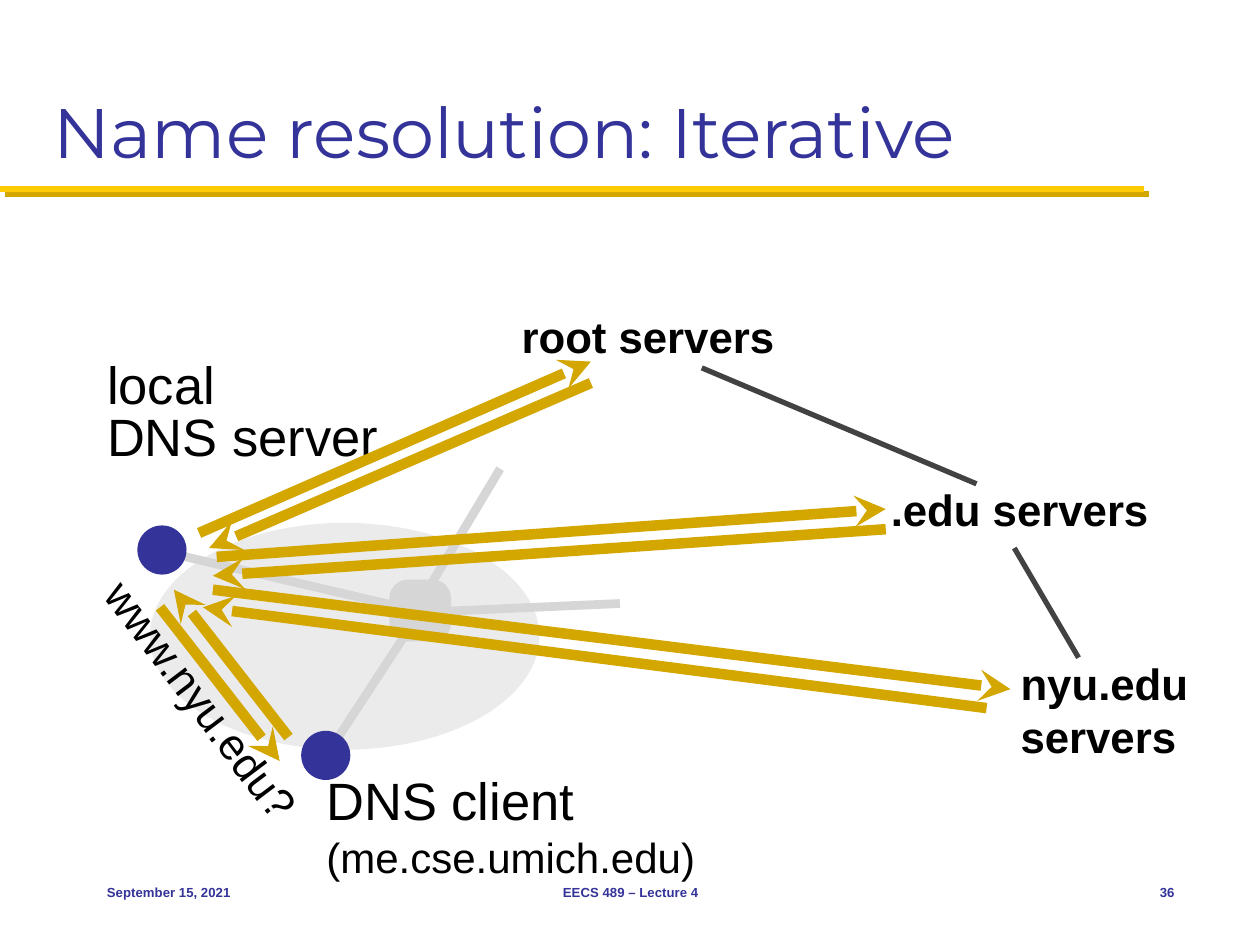
import pptx
import pptx.util
from lxml import etree
from pptx.dml.color import RGBColor
from pptx.enum.shapes import MSO_CONNECTOR, MSO_SHAPE
from pptx.enum.text import MSO_ANCHOR, PP_ALIGN
from pptx.oxml.ns import qn
from pptx.util import Inches

BLUE = RGBColor(0x33, 0x33, 0x99)
MAIZE = RGBColor(0xFF, 0xCB, 0x05)
GOLD = RGBColor(0xD3, 0xA6, 0x00)
PALE = RGBColor(0xEB, 0xEB, 0xEB)
GREY = RGBColor(0xD6, 0xD6, 0xD6)
DARK = RGBColor(0x42, 0x42, 0x42)
BLACK = RGBColor(0x00, 0x00, 0x00)


def format_span(span, *, size, font="Arial", color=BLACK, bold=False):
    span.font.size = pptx.util.Pt(size)
    span.font.name = font
    span.font.color.rgb = color
    span.font.bold = bold


class Page:
    def __init__(self, deck):
        self.shapes = deck.slides.add_slide(deck.slide_layouts[6]).shapes

    def text(self, place, lines, *, sizes, inset=(0.04, 0.04), anchor=MSO_ANCHOR.MIDDLE,
             align=PP_ALIGN.LEFT, wrap=True, spacing=None, rotation=0, **style):
        """Add one paragraph, with a line break between its lines."""
        box = self.shapes.add_textbox(*map(Inches, place))
        box.rotation = rotation
        frame = box.text_frame
        frame.word_wrap = wrap
        frame.vertical_anchor = anchor
        frame.margin_left = frame.margin_right = Inches(inset[0])
        frame.margin_top = frame.margin_bottom = Inches(inset[1])
        para = frame.paragraphs[0]
        para.alignment = align
        para.line_spacing = spacing
        for index, (line, size) in enumerate(zip(lines, sizes)):
            if index:
                para.add_line_break()
            span = para.add_run()
            span.text = line
            format_span(span, size=size, **style)

    def line(self, start, end, *, color, width, arrow=False, shadow=None):
        """Add a line; an arrow has its point at the start."""
        line = self.shapes.add_connector(
            MSO_CONNECTOR.STRAIGHT, *map(Inches, (*start, *end)))
        line.line.color.rgb = color
        line.line.width = pptx.util.Pt(width)
        if arrow:
            etree.SubElement(line.line._get_or_add_ln(), qn("a:headEnd"), type="stealth")
        effects = etree.SubElement(line._element.spPr, qn("a:effectLst"))
        if shadow is not None:
            outer = etree.SubElement(effects, qn("a:outerShdw"), blurRad="0",
                                     dist=str(pptx.util.Pt(4.2)), dir=str(45 * 60000),
                                     algn="ctr", rotWithShape="0")
            etree.SubElement(outer, qn("a:srgbClr"), val=str(shadow))

    def shape(self, kind, place, color, *, rounding=None):
        shape = self.shapes.add_shape(kind, *map(Inches, place))
        shape.shadow.inherit = False
        shape.fill.solid()
        shape.fill.fore_color.rgb = color
        shape.line.fill.background()
        if rounding is not None:
            shape.adjustments[0] = rounding

    def host(self, left, top):
        self.shape(MSO_SHAPE.OVAL, (left, top, 0.39, 0.39), BLUE)


def draw_network(page):
    page.shape(MSO_SHAPE.OVAL, (1.19, 4.15, 3.09, 1.8), PALE)
    for start, end in [((1.26, 4.37), (3.28, 4.84)), ((3.32, 4.88), (2.62, 5.95)),
                       ((3.97, 3.72), (3.33, 4.79)), ((4.92, 4.79), (3.34, 4.86))]:
        page.line(start, end, color=GREY, width=5)
    page.shape(MSO_SHAPE.ROUNDED_RECTANGLE, (3.09, 4.6, 0.49, 0.49), GREY, rounding=0.3)
    page.host(2.39, 5.8)
    page.host(1.09, 4.17)


def draw_labels(page):
    page.text((2.55, 6.05, 4.12, 0.99), ["DNS client", "(me.cse.umich.edu)"], sizes=[30, 24])
    page.text((0.81, 2.75, 0.96, 0.58), ["local"], sizes=[30])
    page.text((0.81, 3.17, 2.84, 0.58), ["DNS server"], sizes=[30])
    for name, place in [("root servers", (4.1, 2.42, 2.3, 0.5)),
                        (".edu servers", (7.03, 3.79, 2.64, 0.5)),
                        ("nyu.edu servers", (8.06, 5.17, 1.85, 0.92))]:
        page.text(place, [name], sizes=[25], bold=True)
    page.text((0.39, 5.39, 2.41, 0.43), ["www.nyu.edu?"], sizes=[25],
              spacing=0.8, rotation=53)


def draw_queries(page):
    for start, end in [((5.57, 2.92), (7.75, 3.84)), ((8.05, 4.35), (8.56, 5.22))]:
        page.line(start, end, color=DARK, width=3)
    arrows = [
        ((1.38, 4.68), (2.29, 5.85)), ((2.22, 6.04), (1.27, 4.82)),
        ((4.69, 2.87), (1.58, 4.23)), ((1.66, 4.35), (4.69, 3.04)),
        ((7.03, 4.04), (1.72, 4.42)), ((1.69, 4.57), (7.03, 4.2)),
        ((8.02, 5.47), (1.69, 4.68)), ((1.61, 4.82), (7.83, 5.62)),
    ]
    for point, tail in arrows:
        page.line(point, tail, color=GOLD, width=6, arrow=True)


def draw_footer(page):
    for words, left, width, align in [
            ("September 15, 2021", 0.75, 2.08, PP_ALIGN.LEFT),
            ("EECS 489 – Lecture 4", 3.42, 3.17, PP_ALIGN.CENTER),
            ("36", 8.75, 0.67, PP_ALIGN.RIGHT)]:
        page.text((left, 6.83, width, 0.5), [words], sizes=[7.5], inset=(0.1, 0.05),
                  align=align, color=BLUE, bold=True)


def main():
    deck = pptx.Presentation()
    deck.slide_width, deck.slide_height = Inches(10), Inches(7.5)
    page = Page(deck)
    page.line((0, 1.5), (9.08, 1.5), color=MAIZE, width=3.5, shadow=GOLD)
    page.text((0.33, 0.17, 9.33, 1.25), ["Name resolution: Iterative"], sizes=[40],
              inset=(0.1, 0.05), anchor=MSO_ANCHOR.BOTTOM, font="Montserrat", color=BLUE)
    draw_network(page)
    draw_labels(page)
    draw_queries(page)
    draw_footer(page)
    deck.save("out.pptx")


if __name__ == "__main__":
    main()
